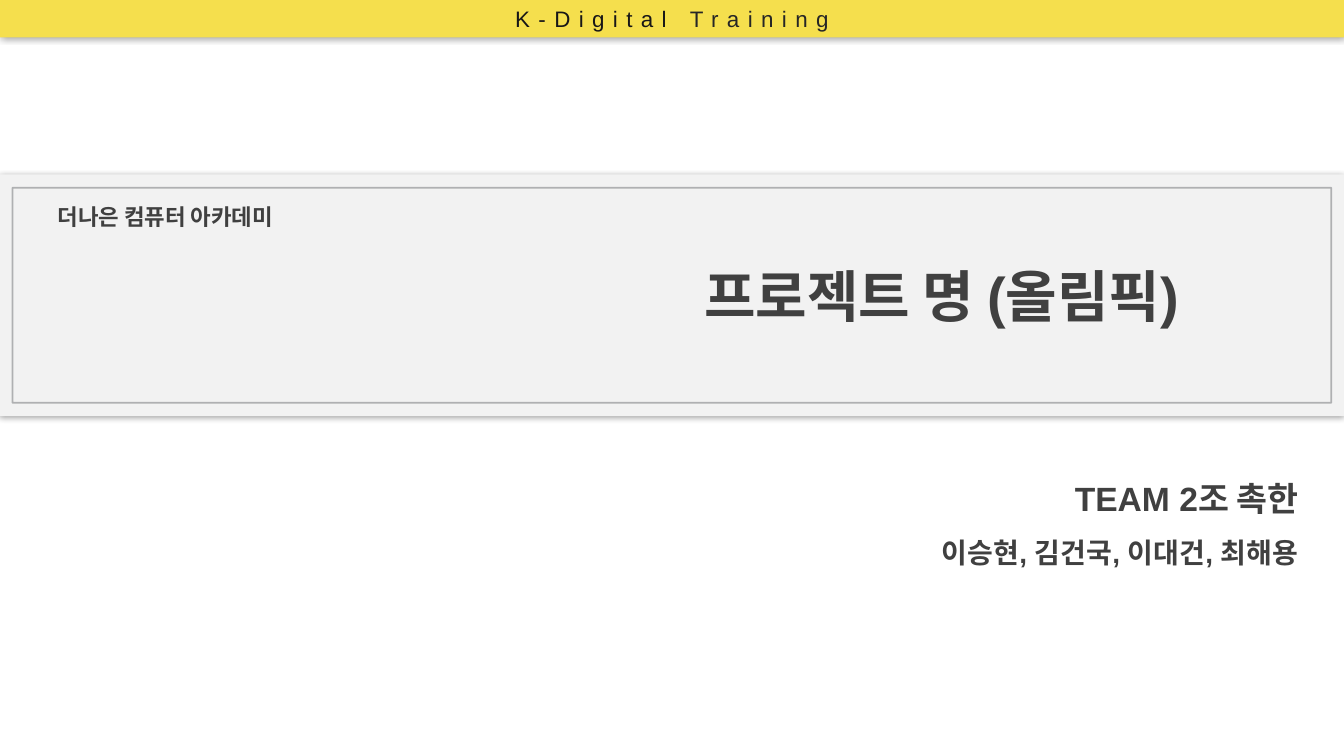
from dataclasses import dataclass

from lxml import etree
from pptx import Presentation
from pptx.dml.color import RGBColor
from pptx.enum.shapes import MSO_SHAPE
from pptx.enum.text import MSO_ANCHOR, MSO_AUTO_SIZE, PP_ALIGN
from pptx.oxml.ns import qn
from pptx.util import Pt

RECT = MSO_SHAPE.RECTANGLE
MIDDLE = MSO_ANCHOR.MIDDLE
GROW = MSO_AUTO_SIZE.SHAPE_TO_FIT_TEXT
CENTER, RIGHT = PP_ALIGN.CENTER, PP_ALIGN.RIGHT


@dataclass(frozen=True)
class Theme:
    yellow: str = "F5DF4D"
    panel: str = "F2F2F2"
    frame: str = "939597"
    text: str = "404040"
    header_dark: str = "181717"
    header_light: str = "262626"
    latin: str = "Arial"
    korean: str = "Noto Sans CJK KR"
    title: int = 40
    team: int = 24
    members: int = 20
    small: int = 16


T = Theme()
W, H = 960, 540


def add_child(parent, tag, **attrs):
    return etree.SubElement(parent, qn(tag), attrs)


def add_band(slide, x, y, w, h, color):
    """Filled rectangle with a soft shadow all round."""
    s = slide.shapes.add_shape(RECT, Pt(x), Pt(y), Pt(w), Pt(h))
    s.fill.solid()
    s.fill.fore_color.rgb = RGBColor.from_string(color)
    s.line.fill.background()
    s.shadow.inherit = False
    effects = s._element.spPr.find(qn("a:effectLst"))
    shadow = add_child(effects, "a:outerShdw", blurRad=str(Pt(5)), dist="0",
                       dir="0", algn="ctr", rotWithShape="0")
    black = add_child(shadow, "a:srgbClr", val="000000")
    add_child(black, "a:alpha", val="40000")
    return s


def add_text(slide, x, y, w, h, lines, align, font=T.latin, inset=0, spacing=None):
    """Bold text box; lines holds (text, size) pairs."""
    tf = slide.shapes.add_textbox(Pt(x), Pt(y), Pt(w), Pt(h)).text_frame
    tf.word_wrap = True
    tf.auto_size = GROW
    tf.margin_top = tf.margin_bottom = Pt(inset)
    for i, (text, size) in enumerate(lines):
        p = tf.paragraphs[0] if i == 0 else tf.add_paragraph()
        p.text = text
        p.alignment = align
        p.line_spacing = spacing
        p.font.name = font
        p.font.size = Pt(size)
        p.font.bold = True
        p.font.color.rgb = RGBColor.from_string(T.text)


def header(slide, x, y, w, h):
    s = add_band(slide, x, y, w, h, T.yellow)
    tf = s.text_frame
    tf.vertical_anchor = MIDDLE
    p = tf.paragraphs[0]
    p.alignment = CENTER
    p.font.name = T.latin
    p.font.size = Pt(T.small)
    for text, color in (("K-Digital ", T.header_dark), ("Training", T.header_light)):
        r = p.add_run()
        r.text = text
        r.font.color.rgb = RGBColor.from_string(color)
        r._r.get_or_add_rPr().set("spc", "600")  # letter spacing of 6 pt


def title_panel(slide, x, y, w, h):
    add_band(slide, x, y, w, h, T.panel)
    add_text(slide, x + 14.4, y + 17.3, 207.4, 26.6,
             [("더나은 컴퓨터 아카데미", T.small)], CENTER, T.korean, inset=3.6)
    add_text(slide, x + 406, y + 62, 533, 48.2,
             [("프로젝트 명 (올림픽)", T.title)], CENTER)

    # Inner frame
    gap = 9
    s = slide.shapes.add_shape(RECT, Pt(x + gap), Pt(y + gap + 0.6),
                               Pt(w - 2 * gap), Pt(h - 2 * gap - 1.2))
    s.fill.background()
    s.shadow.inherit = False
    s.line.width = Pt(1.25)
    s.line.color.rgb = RGBColor.from_string(T.frame)
    color = s.line._ln.find(qn("a:solidFill"))[0]
    add_child(color, "a:alpha", val="70000")


def team(slide, x, y, w, h):
    add_text(slide, x, y, w, h,
             [("TEAM 2조 촉한", T.team), ("이승현, 김건국, 이대건, 최해용", T.members)],
             RIGHT, spacing=1.5)


def main():
    prs = Presentation()
    prs.slide_width, prs.slide_height = Pt(W), Pt(H)
    slide = prs.slides.add_slide(prs.slide_layouts[6])
    team(slide, 528.5, 327, 406, 75.6)
    title_panel(slide, 0, 124.5, W, 172.8)
    header(slide, 0, 0, W, 26.7)
    prs.save("out.pptx")


if __name__ == "__main__":
    main()
